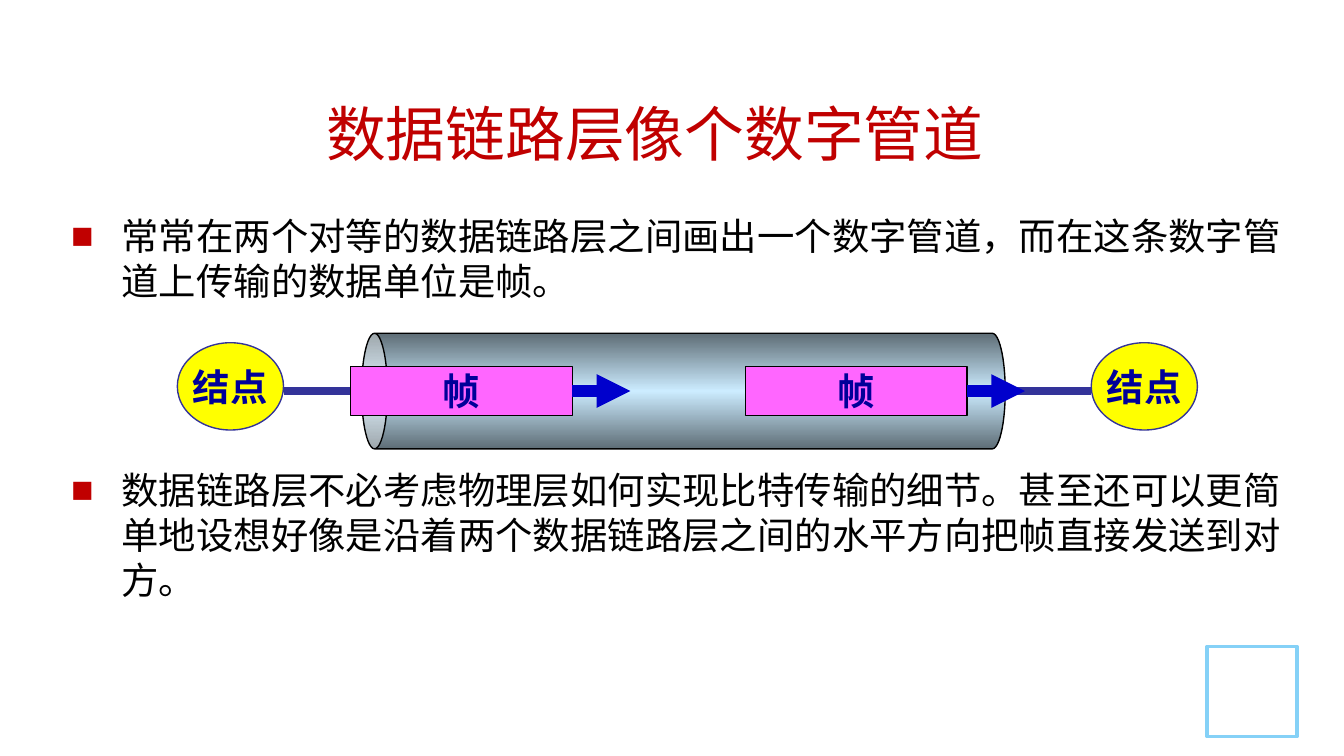
from dataclasses import dataclass

from lxml import etree
from pptx import Presentation
from pptx.dml.color import RGBColor
from pptx.enum.shapes import MSO_CONNECTOR, MSO_SHAPE
from pptx.enum.text import MSO_ANCHOR, PP_ALIGN
from pptx.oxml.ns import qn
from pptx.util import Pt

RECTANGLE, OVAL, CAN = MSO_SHAPE.RECTANGLE, MSO_SHAPE.OVAL, MSO_SHAPE.CAN
STRAIGHT = MSO_CONNECTOR.STRAIGHT
CENTER, MIDDLE, TOP = PP_ALIGN.CENTER, MSO_ANCHOR.MIDDLE, MSO_ANCHOR.TOP
RIGHT_SIDE = 3
AXIS = 209.5
ARROW_LENGTH = 31
INDENT = 27
PARAGRAPH_GAP = 88
RED, NAVY, BLACK = "C00000", "000099", "000000"
WIRE, ARROW, SHADE, SHINE = "333399", "0000CC", "5E6D76", "CCECFF"
TITLE = "数据链路层像个数字管道 "
POINTS = (
    "常常在两个对等的数据链路层之间画出一个数字管道，而在这条数字管道上传输的数据单位是帧。",
    "数据链路层不必考虑物理层如何实现比特传输的细节。甚至还可以更简单地设想好像是沿着两个数据链路层之间的水平方向把帧直接发送到对方。",
)
TITLE_FONT = {"name": "Calibri", "size": Pt(32)}
BODY_FONT = {"name": "Calibri", "size": Pt(20)}
LABEL_FONT = {"name": "Arial", "size": Pt(20), "bold": True}


@dataclass(frozen=True)
class Area:
    """A rectangle on the slide, in points."""
    left: float
    top: float
    width: float
    height: float

    def lengths(self):
        """Return the four sides as lengths."""
        return [Pt(side) for side in (self.left, self.top, self.width, self.height)]


@dataclass(frozen=True)
class Part:
    """A filled shape with an outline and an optional label."""
    kind: int
    area: Area
    fill: str
    line: str
    weight: float = 0.75
    label: str = ""


CORNER = Part(RECTANGLE, Area(646.6, 346.4, 48.2, 48.2), "FFFFFF", "85D1F7", 2)
PIPE = Part(CAN, Area(335.2, 37.1, 61.9, 344.8), SHINE, BLACK)
NODES = [Part(OVAL, Area(left, 183.6, 56.9, 46.8), "FFFF00", WIRE, label="结点")
         for left in (95, 584.6)]
FRAMES = [Part(RECTANGLE, Area(left, AXIS - 13, 118.8, 26), "FF66FF", BLACK, label="帧")
          for left in (187.9, 399.3)]


def paint(target, color: str):
    """Give a colour format the hex colour."""
    target.rgb = RGBColor.from_string(color)


def write(para, text: str, font: dict, color: str):
    """Add a formatted run to a paragraph."""
    span = para.add_run()
    span.text = text
    for name, value in font.items():
        setattr(span.font, name, value)
    paint(span.font.color, color)
    east_asian = etree.SubElement(span.font._element, qn("a:ea"))
    east_asian.set("typeface", font["name"])


def add_part(page, part: Part):
    """Draw a part and return its shape."""
    shape = page.shapes.add_shape(part.kind, *part.area.lengths())
    shape.shadow.inherit = False
    shape.fill.solid()
    paint(shape.fill.fore_color, part.fill)
    paint(shape.line.color, part.line)
    shape.line.width = Pt(part.weight)
    if part.label:
        frame = shape.text_frame
        frame.word_wrap = False
        frame.vertical_anchor = MIDDLE
        frame.paragraphs[0].alignment = CENTER
        write(frame.paragraphs[0], part.label, LABEL_FONT, NAVY)
    return shape


def add_pipe(page):
    """Draw the horizontal pipe with a shaded surface."""
    pipe = add_part(page, PIPE)
    pipe.rotation = 270
    pipe.adjustments[0] = 0.224
    pipe.fill.gradient()
    pipe.fill.gradient_angle = 0
    stops = pipe.fill._fill._gradFill.find(qn("a:gsLst"))
    stops.clear()
    for position, color in ((0, SHADE), (50000, SHINE), (100000, SHADE)):
        stop = etree.SubElement(stops, qn("a:gs"), pos=str(position))
        etree.SubElement(stop, qn("a:srgbClr"), val=color)


def add_line(page, start: float, end: float, color: str, weight: float):
    """Draw a horizontal line on the pipe axis."""
    line = page.shapes.add_connector(STRAIGHT, Pt(start), Pt(AXIS), Pt(end), Pt(AXIS))
    paint(line.line.color, color)
    line.line.width = Pt(weight)
    etree.SubElement(line._element.spPr, qn("a:effectLst"))
    return line


def add_arrow(page, part: Part, shape):
    """Draw the arrow that leaves a frame on its right."""
    start = part.area.left + part.area.width
    arrow = add_line(page, start, start + ARROW_LENGTH, ARROW, 6)
    arrow.begin_connect(shape, RIGHT_SIDE)
    etree.SubElement(arrow.line._get_or_add_ln(), qn("a:tailEnd"), type="triangle")


def add_box(page, area: Area):
    """Add a wrapping text box and return its text frame."""
    frame = page.shapes.add_textbox(*area.lengths()).text_frame
    frame.word_wrap = True
    frame.vertical_anchor = TOP
    return frame


def add_bullet(para):
    """Give a paragraph a hanging red square."""
    properties = para._p.get_or_add_pPr()
    properties.set("marL", str(Pt(INDENT)))
    properties.set("indent", str(-Pt(INDENT)))
    color = etree.SubElement(properties, qn("a:buClr"))
    etree.SubElement(color, qn("a:srgbClr"), val=RED)
    etree.SubElement(properties, qn("a:buFont"), typeface="Arial")
    etree.SubElement(properties, qn("a:buChar"), char="■")


def main():
    """Build the slide and save it."""
    deck = Presentation()
    deck.slide_width, deck.slide_height = Pt(720), Pt(405)
    page = deck.slides.add_slide(deck.slide_layouts[6])
    add_part(page, CORNER)
    title = add_box(page, Area(25.2, 48.2, 658.8, 62.6)).paragraphs[0]
    title.alignment = CENTER
    write(title, TITLE, TITLE_FONT, RED)
    body = add_box(page, Area(31, 110.9, 675.4, 244.8))
    for index, text in enumerate(POINTS):
        para = body.add_paragraph() if index else body.paragraphs[0]
        add_bullet(para)
        if index:
            para.space_before = Pt(PARAGRAPH_GAP)
        write(para, text, BODY_FONT, BLACK)
    for node in NODES:
        add_part(page, node)
    wire_start = NODES[0].area.left + NODES[0].area.width
    add_line(page, wire_start, NODES[1].area.left, WIRE, 4.5)
    add_pipe(page)
    add_line(page, wire_start, 165.6, WIRE, 4.5)
    for frame in FRAMES:
        add_arrow(page, frame, add_part(page, frame))
    deck.save("out.pptx")


if __name__ == "__main__":
    main()
